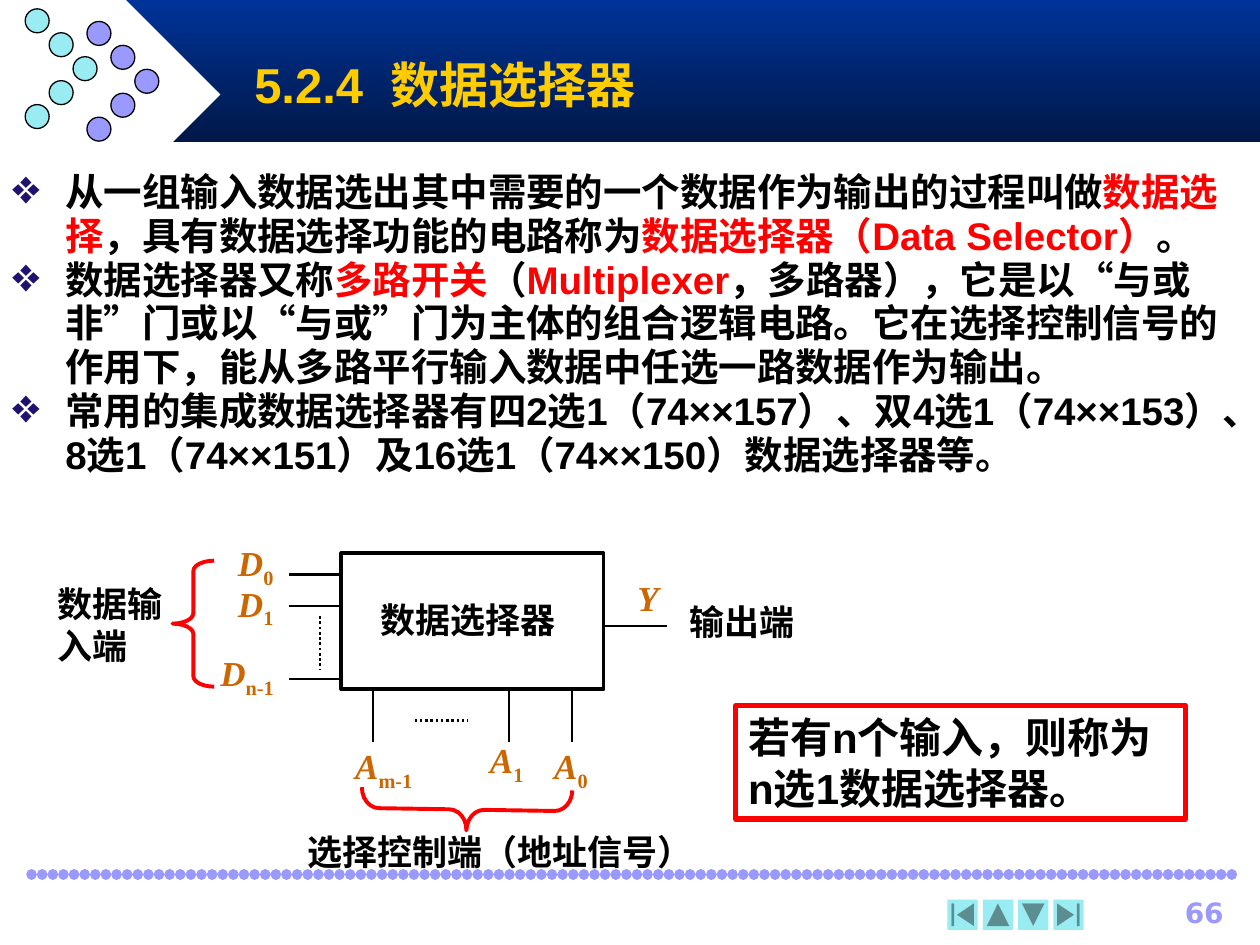
from lxml import etree
from pptx import Presentation
from pptx.dml.color import RGBColor
from pptx.enum.dml import MSO_LINE
from pptx.enum.shapes import MSO_CONNECTOR, MSO_SHAPE
from pptx.enum.text import MSO_ANCHOR, PP_ALIGN
from pptx.oxml.ns import qn
from pptx.util import Inches, Pt

RECT, OVAL, DIAMOND = MSO_SHAPE.RECTANGLE, MSO_SHAPE.OVAL, MSO_SHAPE.DIAMOND
BRACE = MSO_SHAPE.LEFT_BRACE
FIRST, LAST = MSO_SHAPE.ACTION_BUTTON_BEGINNING, MSO_SHAPE.ACTION_BUTTON_END
BACK, NEXT = MSO_SHAPE.ACTION_BUTTON_BACK_OR_PREVIOUS, MSO_SHAPE.ACTION_BUTTON_FORWARD_OR_NEXT
STRAIGHT, DOTS = MSO_CONNECTOR.STRAIGHT, MSO_LINE.ROUND_DOT
TOP, MIDDLE = MSO_ANCHOR.TOP, MSO_ANCHOR.MIDDLE
LEFT, RIGHT = PP_ALIGN.LEFT, PP_ALIGN.RIGHT
SERIF = "Times New Roman"

COLORS = {
    "black": "000000", "white": "FFFFFF", "red": "FF0000",
    "blue": "003399", "navy": "001847", "gold": "FFCC00",
    "lilac": "9999FF", "aqua": "98ECF2", "orange": "CC6600",
    "bullet": "1E116F",
}

BODY = [
    [("从一组输入数据选出其中需要的一个数据作为输出的过程叫做", "black"),
     ("数据选择", "red"), ("，具有数据选择功能的电路称为", "black"),
     ("数据选择器（Data Selector）", "red"), ("。", "black")],
    [("数据选择器又称", "black"), ("多路开关", "red"), ("（", "black"),
     ("Multiplexer", "red"),
     ("，多路器），它是以“与或非”门或以“与或”门为主体的组合逻辑电路。"
      "它在选择控制信号的作用下，能从多路平行输入数据中任选一路数据作为输出。", "black")],
    [("常用的集成数据选择器有四2选1（74××157）、双4选1（74××153）、"
      "8选1（74××151）及16选1（74××150）数据选择器等。", "black")],
]


def rgb(name):
    return RGBColor.from_string(COLORS[name])


def shape(slide, kind, box, fill=None, line=None, width=0.75, turn=0):
    item = slide.shapes.add_shape(kind, *map(Inches, box))
    item.shadow.inherit = False
    item.rotation = turn
    if fill:
        item.fill.solid()
        item.fill.fore_color.rgb = rgb(fill)
    else:
        item.fill.background()
    if line:
        item.line.color.rgb = rgb(line)
        item.line.width = Pt(width)
    else:
        item.line.fill.background()
    return item


def wire(slide, start, end, color="black", width=1.5, dash=None):
    item = slide.shapes.add_connector(STRAIGHT, *map(Inches, (*start, *end)))
    item.line.color.rgb = rgb(color)
    item.line.width = Pt(width)
    if dash:
        item.line.dash_style = dash
    etree.SubElement(item._element.spPr, qn("a:effectLst"))
    return item


def style(font, size, face, color, bold=True, italic=False):
    font.size, font.name = Pt(size), face
    font.bold, font.italic = bold, italic
    font.color.rgb = rgb(color)


def write(frame, words, size=20, face=SERIF, color="black", italic=False,
          sub="", align=LEFT, anchor=TOP):
    """Fill a frame with one paragraph, with an optional upright subscript."""
    frame.word_wrap, frame.vertical_anchor = True, anchor
    para = frame.paragraphs[0]
    para.alignment = align
    run = para.add_run()
    run.text = words
    style(run.font, size, face, color, italic=italic)
    if sub:
        low = para.add_run()
        low.text = sub
        style(low.font, size, face, color)
        low._r.get_or_add_rPr().set("baseline", "-25000")


def label(slide, box, words, **form):
    write(slide.shapes.add_textbox(*map(Inches, box)).text_frame, words, **form)


def add_mark(para):
    """Give a paragraph its hanging diamond bullet."""
    props = para._p.get_or_add_pPr()
    props.set("marL", str(Inches(0.42)))
    props.set("indent", str(-Inches(0.42)))
    tint = etree.SubElement(props, qn("a:buClr"))
    etree.SubElement(tint, qn("a:srgbClr"), val=COLORS["bullet"])
    etree.SubElement(props, qn("a:buSzPct"), val="125000")
    etree.SubElement(props, qn("a:buChar"), char="❖")


def add_body(slide):
    frame = slide.shapes.add_textbox(*map(Inches, (0, 1.31, 9.88, 2.88))).text_frame
    frame.word_wrap = True
    for i, parts in enumerate(BODY):
        para = frame.add_paragraph() if i else frame.paragraphs[0]
        add_mark(para)
        para.line_spacing = 0.95
        for words, color in parts:
            run = para.add_run()
            run.text = words
            style(run.font, 22, "Arial", color)


def add_head(slide):
    band = shape(slide, RECT, (1, 0, 9, 1.13), fill="blue")
    band.fill.gradient()
    band.fill.gradient_angle = 270
    for stop, pos, name in zip(band.fill.gradient_stops, (0, 1), ("blue", "navy")):
        stop.position = pos
        stop.color.rgb = rgb(name)
    shape(slide, DIAMOND, (0.25, 0, 1.5, 1.5), fill="white")
    for left, top, color in ((0.69, 0.17, "lilac"), (0.2, 0.07, "aqua")):
        for i in range(5):
            box = (left + 0.19 * min(i, 4 - i), top + 0.19 * i, 0.19, 0.19)
            shape(slide, OVAL, box, fill=color, line="black")
    label(slide, (1.92, 0.33, 7.5, 0.67), "5.2.4  数据选择器", size=28,
          face="Arial", color="gold", anchor=MIDDLE)


def add_foot(slide):
    rule = wire(slide, (0.25, 6.94), (9.83, 6.94), color="lilac", width=6)
    line = rule.line._get_or_add_ln()
    line.set("cap", "rnd")
    dash = etree.SubElement(line, qn("a:custDash"))
    etree.SubElement(dash, qn("a:ds"), d="100000", sp="1000")
    for i, (kind, turn) in enumerate(((FIRST, 0), (BACK, 90), (NEXT, 90), (LAST, 0))):
        shape(slide, kind, (7.52 + 0.28 * i, 7.14, 0.24, 0.24), fill="aqua", turn=turn)
    label(slide, (8.86, 7.06, 0.95, 0.33), "66", size=16, face="DejaVu Sans",
          color="lilac", align=RIGHT)


def add_brace(slide, box, bend, turn=0):
    item = shape(slide, BRACE, box, line="red", width=2.25, turn=turn)
    item.adjustments[0] = bend


def add_chip(slide):
    """Draw the selector block with its pins, names and braces."""
    shape(slide, RECT, (2.71, 4.39, 2.08, 1.08), line="black", width=2.25)
    for y in (4.56, 4.81, 5.39):
        wire(slide, (2.29, y), (2.71, y))
    for x in (2.96, 4.04, 4.54):
        wire(slide, (x, 5.47), (x, 5.89))
    wire(slide, (4.79, 4.97), (5.29, 4.97))
    wire(slide, (2.54, 4.89), (2.54, 5.31), dash=DOTS)
    wire(slide, (3.29, 5.72), (3.71, 5.72), dash=DOTS)
    pins = (
        ("D", "0", (1.79, 4.25, 0.58, 0.48)), ("D", "1", (1.79, 4.57, 0.58, 0.48)),
        ("D", "n-1", (1.65, 5.12, 0.75, 0.48)), ("A", "0", (4.3, 5.86, 0.58, 0.48)),
        ("A", "1", (3.79, 5.81, 0.58, 0.48)), ("A", "m-1", (2.72, 5.86, 0.75, 0.48)),
        ("Y", "", (4.96, 4.53, 0.4, 0.44)),
    )
    for name, sub, box in pins:
        label(slide, box, name, sub=sub, color="orange", italic=True)
    label(slide, (2.92, 4.7, 1.65, 0.44), "数据选择器")
    label(slide, (0.36, 4.57, 1.14, 0.77), "数据输入端")
    label(slide, (5.37, 4.72, 1.25, 0.44), "输出端")
    label(slide, (2.34, 6.54, 3.35, 0.44), "选择控制端（地址信号）")
    add_brace(slide, (1.37, 4.45, 0.33, 1), 0.25)
    add_brace(slide, (3.54, 5.59, 0.33, 1.67), 0.42, turn=270.9)


def main():
    deck = Presentation()
    deck.slide_width, deck.slide_height = Inches(10), Inches(7.5)
    slide = deck.slides.add_slide(deck.slide_layouts[6])
    add_head(slide)
    add_foot(slide)
    add_body(slide)
    add_chip(slide)
    note = shape(slide, RECT, (5.84, 5.6, 3.57, 0.9), fill="white", line="red", width=3)
    write(note.text_frame, "若有n个输入，则称为n选1数据选择器。", size=24, face="Arial")
    deck.save("out.pptx")


if __name__ == "__main__":
    main()
